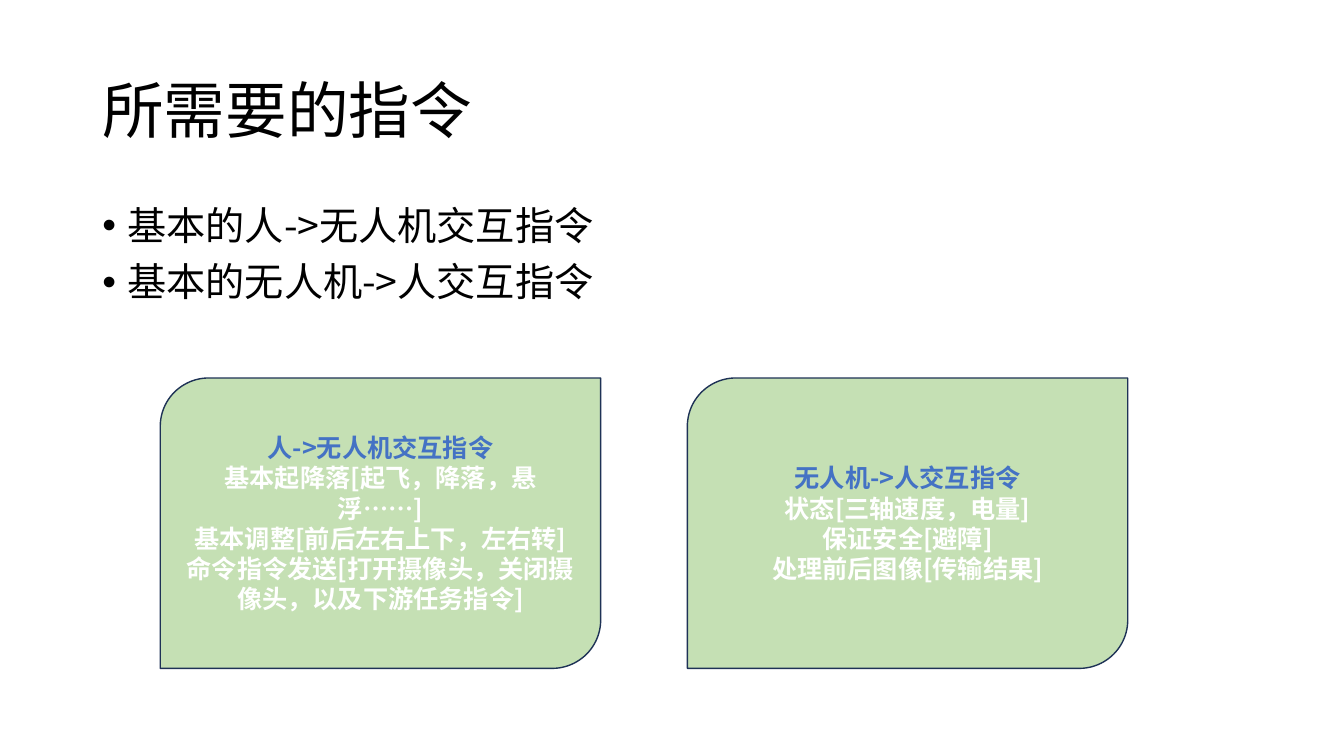
import pptx
import pptx.dml.color
import pptx.enum.shapes
import pptx.enum.text
import pptx.oxml.ns
import pptx.util
from lxml import etree

Pt = pptx.util.Pt
RGBColor = pptx.dml.color.RGBColor
ANCHOR = pptx.enum.text.MSO_ANCHOR
ALIGN = pptx.enum.text.PP_ALIGN
qn = pptx.oxml.ns.qn

BLACK = RGBColor(0x00, 0x00, 0x00)
WHITE = RGBColor(0xFF, 0xFF, 0xFF)
BLUE = RGBColor(0x44, 0x72, 0xC4)
GREEN = RGBColor(0xC5, 0xE0, 0xB4)
NAVY = RGBColor(0x1E, 0x32, 0x56)
FONT = "Noto Sans CJK SC"

BULLET_INDENT = Pt(18)
CARD_LEFT, CARD_TOP, CARD_WIDTH, CARD_HEIGHT = 114.5, 270, 314.6, 207.4
CARD_STEP = 376.5

COMMANDS = ["基本的人->无人机交互指令", "基本的无人机->人交互指令"]
CARDS = [
    ["人->无人机交互指令",
     "基本起降落[起飞，降落，悬浮……]",
     "基本调整[前后左右上下，左右转]",
     "命令指令发送[打开摄像头，关闭摄像头，以及下游任务指令]"],
    ["无人机->人交互指令",
     "状态[三轴速度，电量]",
     "保证安全[避障]",
     "处理前后图像[传输结果]"],
]


class SlideBuilder:
    def __init__(self, slide):
        self.slide = slide

    def style(self, paragraph, size, color, bold=False):
        for run in paragraph.runs:
            run.font.size = Pt(size)
            run.font.bold = bold
            run.font.color.rgb = color
            run.font.name = FONT
            east_asian = etree.SubElement(run.font._element, qn("a:ea"))
            east_asian.set("typeface", FONT)

    def text(self, lines, left, top, width, height, size, anchor):
        box = self.slide.shapes.add_textbox(Pt(left), Pt(top), Pt(width), Pt(height))
        frame = box.text_frame
        frame.word_wrap = True
        frame.vertical_anchor = anchor
        frame.text = "\n".join(lines)
        for paragraph in frame.paragraphs:
            paragraph.line_spacing = 0.9
            self.style(paragraph, size, BLACK)
        return frame

    def bullets(self, lines, left, top, width, height, size):
        frame = self.text(lines, left, top, width, height, size, ANCHOR.TOP)
        for paragraph in frame.paragraphs:
            paragraph.space_before = Pt(10)
            properties = paragraph._p.get_or_add_pPr()
            properties.set("marL", str(BULLET_INDENT))
            properties.set("indent", str(-BULLET_INDENT))
            etree.SubElement(properties, qn("a:buFont")).set("typeface", "Arial")
            etree.SubElement(properties, qn("a:buChar")).set("char", "•")

    def card(self, lines, left, top, width, height):
        card = self.slide.shapes.add_shape(
            pptx.enum.shapes.MSO_SHAPE.ROUND_2_DIAG_RECTANGLE,
            Pt(left), Pt(top), Pt(width), Pt(height))
        card.shadow.inherit = False
        card.fill.solid()
        card.fill.fore_color.rgb = GREEN
        card.line.color.rgb = NAVY
        card.line.width = Pt(1)
        frame = card.text_frame
        frame.word_wrap = True
        frame.vertical_anchor = ANCHOR.MIDDLE
        frame.text = "\n".join(lines)
        for index, paragraph in enumerate(frame.paragraphs):
            paragraph.alignment = ALIGN.CENTER
            self.style(paragraph, 18, WHITE if index else BLUE, bold=True)


def main():
    presentation = pptx.Presentation()
    presentation.slide_width = Pt(960)
    presentation.slide_height = Pt(540)
    builder = SlideBuilder(presentation.slides.add_slide(presentation.slide_layouts[6]))

    # Title and the two command directions
    builder.text(["所需要的指令"], 66, 28.8, 828, 104.4, 44, ANCHOR.MIDDLE)
    builder.bullets(COMMANDS, 66, 144, 797, 93, 28)

    # One card per direction
    for column, lines in enumerate(CARDS):
        builder.card(lines, CARD_LEFT + column * CARD_STEP, CARD_TOP, CARD_WIDTH, CARD_HEIGHT)

    presentation.save("out.pptx")


if __name__ == "__main__":
    main()
